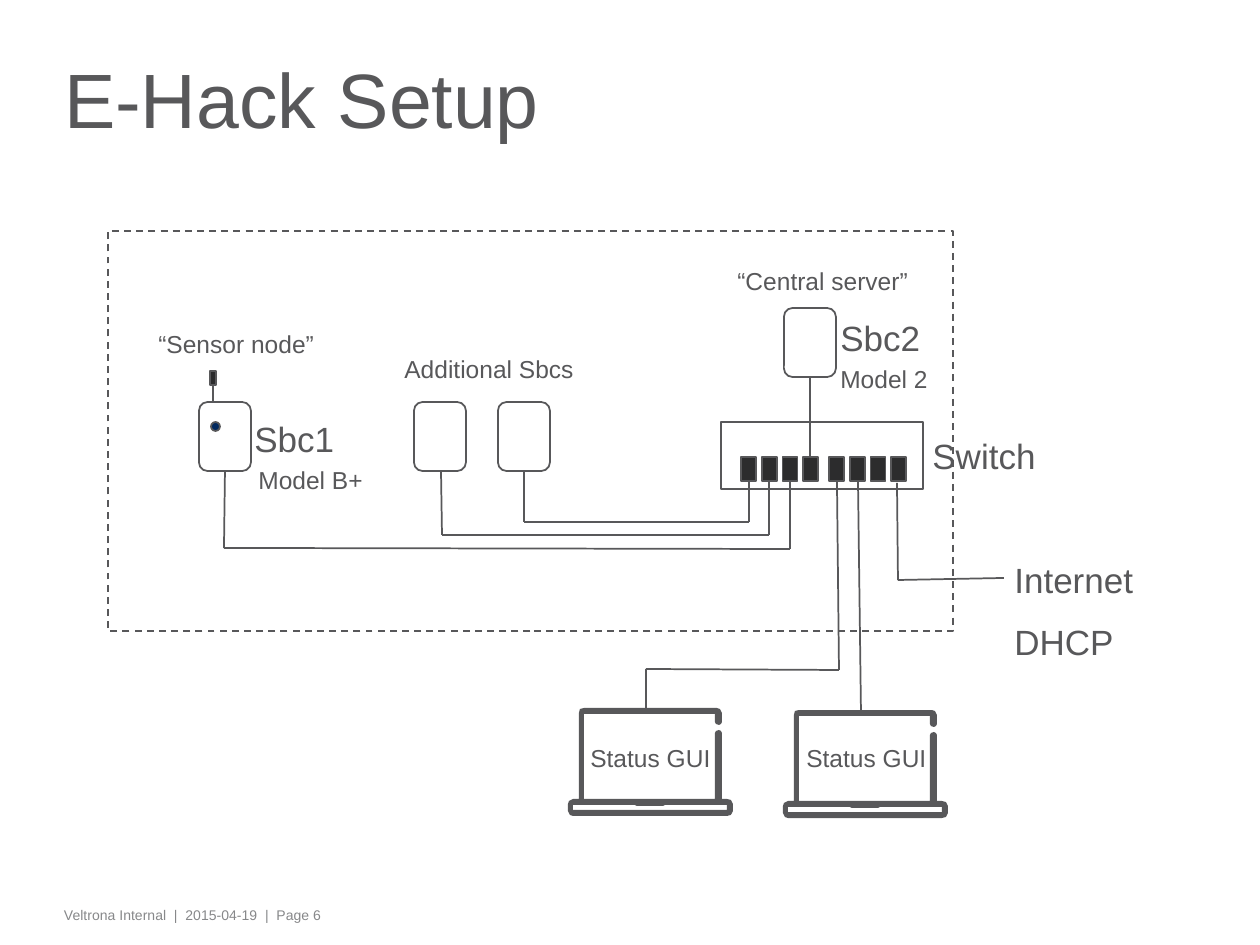
from itertools import pairwise

from lxml.etree import SubElement
from pptx import Presentation
from pptx.dml.color import RGBColor
from pptx.enum.dml import MSO_LINE
from pptx.enum.shapes import MSO_CONNECTOR, MSO_SHAPE
from pptx.enum.text import MSO_ANCHOR, PP_ALIGN
from pptx.oxml.ns import qn
from pptx.util import Pt

SCALE = 914400 / 126
COLORS = {"ink": "58585A", "port": "2C2C2D", "led": "00285E",
          "footer": "87888A", "paper": "FFFFFF"}

TITLE = "E-Hack Setup"
FOOTER = "Veltrona Internal  |  2015-04-19  |  Page 6"

# left, top, width, height, size, lines
LABELS = [
    (920, 428, 217, 55, 20, ["Switch"]),
    (1002, 552, 217, 118, 20, ["Internet", "DHCP"]),
    (242, 411, 115, 57, 20, ["Sbc1"]),
    (146, 323, 200, 43, 14, ["“Sensor node”"]),
    (246, 459, 200, 43, 14, ["Model B+"]),
    (828, 310, 115, 57, 20, ["Sbc2"]),
    (725, 260, 200, 43, 14, ["“Central server”"]),
    (828, 358, 200, 43, 14, ["Model 2"]),
    (392, 348, 272, 43, 14, ["Additional Sbcs"]),
    (578, 737, 217, 43, 14, ["Status GUI"]),
    (794, 737, 150, 43, 14, ["Status GUI"]),
]

BOARDS = [(199, 402), (414, 402), (498, 402), (784, 308)]
BOARD_SIZE = (52, 69)

PORT_COUNT, PORT_LEFT, PORT_TOP, PORT_PITCH, PORT_GAP = 8, 741, 457, 20.75, 5
PORT_SIZE = (15, 24)

# line width, points from end to end
WIRES = [
    (1, [(897, 483), (898, 580), (1004, 578)]),
    (1.5, [(213, 386), (213, 402)]),
    (1, [(225, 471), (224, 548), (790, 549), (790, 481)]),
    (1, [(810, 378), (810, 457)]),
    (1, [(441, 471), (442, 535), (769, 535), (769, 480)]),
    (1, [(524, 472), (524, 522), (749, 522), (749, 481)]),
    (1, [(837, 481), (839, 670), (646, 669), (646, 708)]),
    (1, [(858, 481), (861, 711)]),
]

LAPTOPS = [(568, 708), (783, 710)]
LAPTOP_BODY = [
    (159, 91), (154, 91), (154, 25), (153, 23), (151, 22), (148, 23), (147, 25),
    (147, 91), (16, 91), (16, 6), (147, 6), (147, 14), (148, 16), (151, 17),
    (153, 16), (154, 14), (154, 5), (152, 1), (149, 0), (16, 0), (12, 1),
    (11, 5), (11, 91), (5, 91), (1, 93), (0, 96), (0, 103), (2, 107), (5, 108),
    (159, 108), (163, 107), (165, 103), (165, 96), (163, 92)]
LAPTOP_SLOT = [(159, 102), (5, 102), (5, 97), (67, 97), (69, 98),
               (95, 98), (97, 97), (159, 97)]


def px(value):
    """Turn pixels into EMU."""
    return round(value * SCALE)


def color(name):
    """Look up a named colour."""
    return RGBColor.from_string(COLORS[name])


def format_font(para, size, name):
    """Set the font of a paragraph."""
    para.font.name = "Arial"
    para.font.size = Pt(size)
    para.font.color.rgb = color(name)


def add_box(page, kind, left, top, width, height, fill=None):
    """Add an outlined preset shape."""
    box = page.shapes.add_shape(kind, px(left), px(top), px(width), px(height))
    box.shadow.inherit = False
    if fill:
        box.fill.solid()
        box.fill.fore_color.rgb = color(fill)
    else:
        box.fill.background()
    box.line.color.rgb = color("ink")
    box.line.width = Pt(1)
    return box


def add_label(page, left, top, width, height, size, lines, name="ink"):
    """Add a text box with one paragraph per line."""
    box = page.shapes.add_textbox(px(left), px(top), px(width), px(height))
    frame = box.text_frame
    frame.word_wrap = True
    frame.text = "\n".join(lines)
    for index, para in enumerate(frame.paragraphs):
        format_font(para, size, name)
        if index:
            para.space_before = Pt(size * 0.57)
    return frame


def add_wire(page, width, points):
    """Join the points with straight connectors."""
    for start, end in pairwise(points):
        wire = page.shapes.add_connector(
            MSO_CONNECTOR.STRAIGHT, *(px(value) for value in start + end))
        wire.line.color.rgb = color("ink")
        wire.line.width = Pt(width)
        SubElement(wire._element.spPr, qn("a:effectLst"))


def add_laptop(page, left, top):
    """Draw a laptop outline with a slot in its base."""
    body, slot = ([(left + x, top + y) for x, y in contour]
                  for contour in (LAPTOP_BODY, LAPTOP_SLOT))
    builder = page.shapes.build_freeform(*body[0], scale=SCALE)
    builder.add_line_segments(body[1:], close=True)
    builder.move_to(*slot[0])
    builder.add_line_segments(slot[1:], close=True)
    laptop = builder.convert_to_shape()
    laptop.shadow.inherit = False
    laptop.fill.solid()
    laptop.fill.fore_color.rgb = color("ink")
    laptop.line.fill.background()


def add_title(page):
    """Place and format the title placeholder."""
    title = page.shapes.title
    title.left, title.top, title.width, title.height = map(px, (54, 33, 1033, 150))
    frame = title.text_frame
    frame.text = TITLE
    frame.vertical_anchor = MSO_ANCHOR.MIDDLE
    frame.margin_left = frame.margin_right = px(10)
    frame.margin_top = frame.margin_bottom = 0
    para = frame.paragraphs[0]
    para.alignment = PP_ALIGN.LEFT
    para.line_spacing = 0.75
    format_font(para, 44, "ink")


deck = Presentation()
deck.slide_width, deck.slide_height = px(1260), px(945)
page = deck.slides.add_slide(deck.slide_layouts[5])

add_title(page)
footer = add_label(page, 54, 900, 1019, 30, 8, [FOOTER], "footer")
footer.margin_left = footer.margin_right = px(10)

add_box(page, MSO_SHAPE.RECTANGLE, 721, 422, 202, 67, "paper")
for index in range(PORT_COUNT):
    left = PORT_LEFT + index * PORT_PITCH + (index >= PORT_COUNT / 2) * PORT_GAP
    add_box(page, MSO_SHAPE.RECTANGLE, left, PORT_TOP, *PORT_SIZE, "port")

zone = add_box(page, MSO_SHAPE.RECTANGLE, 108, 231, 845, 400)
zone.line.dash_style = MSO_LINE.DASH

for left, top in BOARDS:
    add_box(page, MSO_SHAPE.ROUNDED_RECTANGLE, left, top, *BOARD_SIZE)
add_box(page, MSO_SHAPE.RECTANGLE, 210, 371, 6, 14, "port")
add_box(page, MSO_SHAPE.OVAL, 211, 422, 9, 9, "led")

for width, points in WIRES:
    add_wire(page, width, points)
for left, top in LAPTOPS:
    add_laptop(page, left, top)
for label in LABELS:
    add_label(page, *label)

deck.save("out.pptx")
